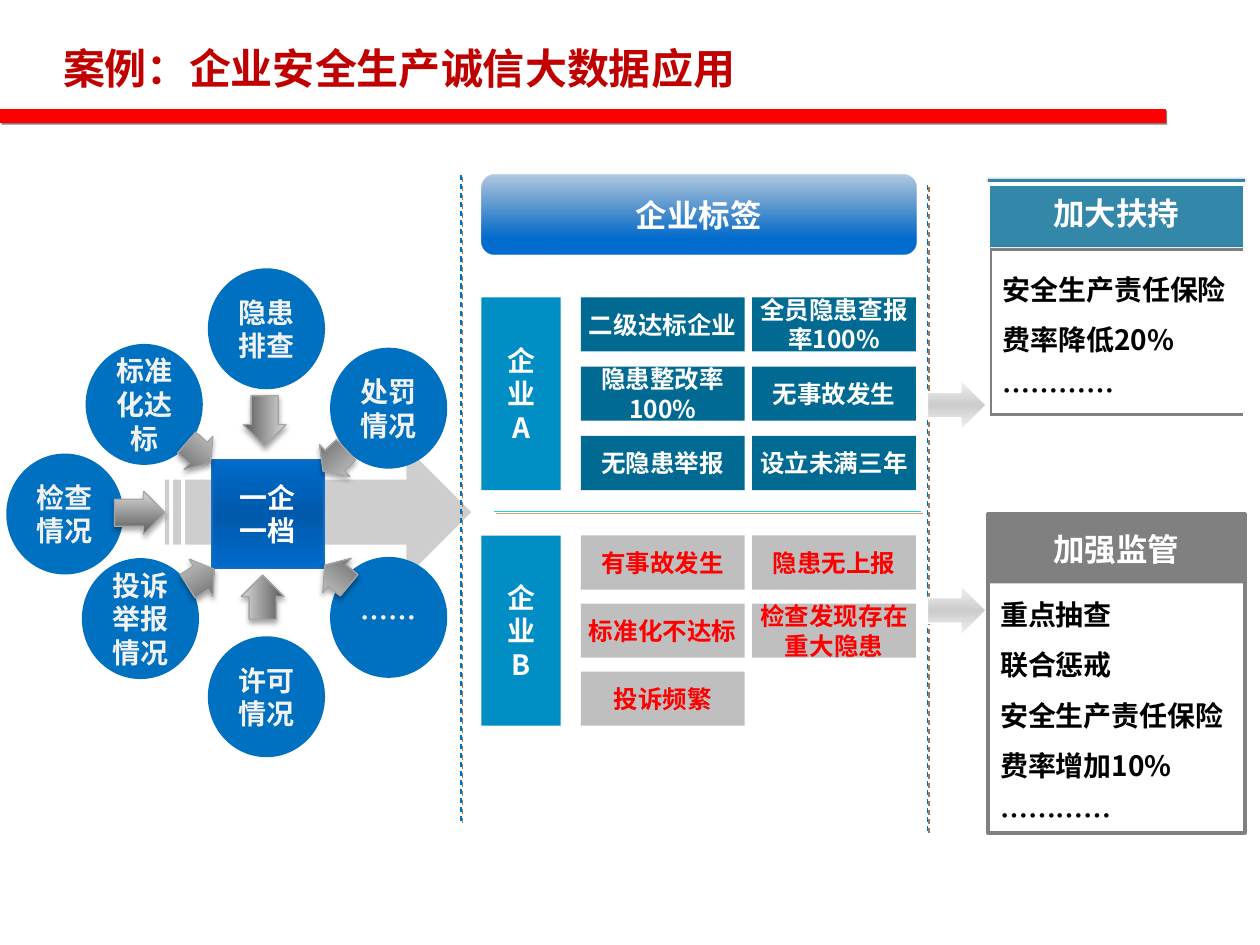
from dataclasses import dataclass

from pptx import Presentation
from pptx.dml.color import RGBColor
from pptx.enum.dml import MSO_LINE
from pptx.enum.shapes import MSO_CONNECTOR, MSO_SHAPE
from pptx.enum.text import MSO_ANCHOR, MSO_AUTO_SIZE, PP_ALIGN
from pptx.oxml import parse_xml
from pptx.oxml.ns import nsdecls, qn
from pptx.util import Inches, Pt


@dataclass(frozen=True)
class Theme:
    font: str = "Noto Sans CJK SC"
    title_size: int = 24
    heading_size: int = 18
    body_size: int = 16
    tag_size: int = 14
    title: str = "C00000"
    rule: str = "FF0000"
    white: str = "FFFFFF"
    black: str = "000000"
    circle: str = "0070C0"
    circle_text: str = "F2F2F2"
    company: str = "008EC4"
    good: str = "006A93"
    bad: str = "BFBFBF"
    bad_text: str = "FF0000"
    divider: str = "20C9F8"
    gray: str = "808080"
    arrow: str = "A6A6A6"
    hub_line: str = "0F6FC6"
    frame_line: str = "3A5F8C"
    hub_fade: tuple = ((0, "006BCB", 100), (50, "0059AB", 100), (100, "006BCB", 100))
    arrow_fade: tuple = ((0, "595959", 100), (100, "D9D9D9", 100))
    flow_fade: tuple = ((0, "F4F4F4", 100), (50, "CCCCCC", 100), (100, "F4F4F4", 100))
    heading_fade: tuple = ((0, "00539F", 30), (80, "006CCE", 100), (100, "006DCF", 100))
    arrow_shadow: tuple = ("000000", 35, 3.1, 1.8, 90)
    divider_shadow: tuple = ("CCA37B", 100, 0, 1.4, 45)
    dash_shadow: tuple = ("997A5C", 100, 0, 1.4, 45)
    rule_shadow: tuple = ("000000", 50, 0, 1.4, 45)


THEME = Theme()


@dataclass(frozen=True)
class Box:
    left: float
    top: float
    width: float
    height: float

    def inner(self, left, top, width, height):
        return Box(self.left + left, self.top + top, width, height)

    def lengths(self):
        return [Inches(value) for value in (self.left, self.top, self.width, self.height)]


def color_xml(color, opacity):
    return f'<a:srgbClr val="{color}"><a:alpha val="{opacity * 1000}"/></a:srgbClr>'


def set_opacity(properties, opacity):
    color = properties.find(qn("a:solidFill"))[0]
    color.append(parse_xml(f'<a:alpha {nsdecls("a")} val="{opacity * 1000}"/>'))


def fade(shape, stops, angle):
    shape.fill.gradient()
    properties = shape._element.spPr
    listed = "".join(f'<a:gs pos="{place * 1000}">{color_xml(color, opacity)}</a:gs>'
                     for place, color, opacity in stops)
    properties.replace(properties.find(qn("a:gradFill")), parse_xml(
        f'<a:gradFill {nsdecls("a")} rotWithShape="1"><a:gsLst>{listed}</a:gsLst>'
        f'<a:lin ang="{angle * 60000}" scaled="0"/></a:gradFill>'))


def cast_shadow(properties, color, opacity, blur, distance, angle):
    effects = properties.find(qn("a:effectLst"))
    if effects is not None:
        properties.remove(effects)
    properties.append(parse_xml(
        f'<a:effectLst {nsdecls("a")}><a:outerShdw blurRad="{Pt(blur)}" dist="{Pt(distance)}" '
        f'dir="{angle * 60000}" algn="tl" rotWithShape="0">{color_xml(color, opacity)}'
        f'</a:outerShdw></a:effectLst>'))


def add_block(page, kind, box, fill=None, line=None, width=1):
    shape = page.shapes.add_shape(kind, *box.lengths())
    shape.shadow.inherit = False
    if fill:
        shape.fill.solid()
        shape.fill.fore_color.rgb = RGBColor.from_string(fill)
    else:
        shape.fill.background()
    if line:
        shape.line.color.rgb = RGBColor.from_string(line)
        shape.line.width = Pt(width)
    else:
        shape.line.fill.background()
    return shape


def write(shape, lines, size, color, align=PP_ALIGN.CENTER, anchor=MSO_ANCHOR.MIDDLE,
          wrap=True, spacing=None):
    frame = shape.text_frame
    frame.word_wrap = wrap
    frame.vertical_anchor = anchor
    frame.auto_size = MSO_AUTO_SIZE.NONE
    frame.text = "\n".join(lines)
    for para in frame.paragraphs:
        para.alignment = align
        if spacing:
            para.line_spacing = spacing
        para.space_before = Pt(0)
        para.font.size = Pt(size)
        para.font.bold = True
        para.font.color.rgb = RGBColor.from_string(color)
        para.font.name = THEME.font
        defaults = para._p.pPr.find(qn("a:defRPr"))
        defaults.append(parse_xml(f'<a:ea {nsdecls("a")} typeface="{THEME.font}"/>'))


def add_line(page, box, color, width, shadow, dash=None):
    ends = (box.left, box.top, box.left + box.width, box.top + box.height)
    line = page.shapes.add_connector(MSO_CONNECTOR.STRAIGHT, *map(Inches, ends))
    line.line.color.rgb = RGBColor.from_string(color)
    line.line.width = Pt(width)
    if dash:
        line.line.dash_style = dash
    cast_shadow(line._element.spPr, *shadow)


def place_title(page, box):
    title = page.shapes.title
    title.left, title.top, title.width, title.height = box.lengths()
    write(title, ["案例：企业安全生产诚信大数据应用"], THEME.title_size, THEME.title,
          PP_ALIGN.LEFT, MSO_ANCHOR.TOP, spacing=1.2)


def place_records(page, box):
    stream = add_block(page, MSO_SHAPE.STRIPED_RIGHT_ARROW, box.inner(1.26, 1.42, 2.43, 1.03), THEME.arrow)
    set_opacity(stream._element.spPr, 54)
    hub = add_block(page, MSO_SHAPE.RECTANGLE, box.inner(1.63, 1.52, 0.89, 0.86), line=THEME.hub_line)
    fade(hub, THEME.hub_fade, 90)
    write(hub, ["一企", "一档"], THEME.body_size, THEME.white, wrap=False)

    circles = [
        (0.63, 0.6, ["标准化达标"]), (0.6, 2.3, ["投诉举报情况"]), (1.6, 2.92, ["许可情况"]),
        (2.57, 2.29, ["……"]), (2.57, 0.63, ["处罚", "情况"]), (1.6, 0, ["隐患排查"]),
        (0, 1.47, ["检查情况"]),
    ]
    for left, top, lines in circles:
        circle = add_block(page, MSO_SHAPE.FLOWCHART_CONNECTOR, box.inner(left, top, 0.93, 0.96), THEME.circle)
        write(circle, lines, THEME.body_size, THEME.circle_text)

    arrows = [
        (1.4, 1.29, 0.25, 0.35, 40.9), (1.42, 2.28, 0.25, 0.35, 327.5),
        (1.86, 2.44, 0.35, 0.34, 270), (2.5, 2.26, 0.25, 0.35, 219.6),
        (1.85, 1.04, 0.4, 0.34, 90), (2.48, 1.35, 0.25, 0.35, 136.7), (0.86, 1.77, 0.4, 0.34, 0),
    ]
    for *place, rotation in arrows:
        arrow = add_block(page, MSO_SHAPE.RIGHT_ARROW, box.inner(*place), line=THEME.arrow, width=0.75)
        arrow.adjustments[0] = 0.63
        arrow.rotation = rotation
        fade(arrow, THEME.arrow_fade, 270)
        cast_shadow(arrow._element.spPr, *THEME.arrow_shadow)


def place_company(page, box, letter, rows, fill, color):
    name = add_block(page, MSO_SHAPE.RECTANGLE, box.inner(0, 0, 0.63, box.height), THEME.company)
    write(name, ["企", "业", letter], THEME.body_size, THEME.white, wrap=False)
    tag_height = 0.43
    step = (box.height - tag_height) / (len(rows) - 1)
    for row, tags in enumerate(rows):
        for column, lines in enumerate(tags):
            tag = add_block(page, MSO_SHAPE.RECTANGLE,
                            box.inner(0.79 + column * 1.36, row * step, 1.3, tag_height), fill)
            write(tag, lines, THEME.tag_size, color, wrap=False)


def place_labels(page, box):
    heading = add_block(page, MSO_SHAPE.ROUNDED_RECTANGLE, box.inner(0, 0, box.width, 0.63))
    fade(heading, THEME.heading_fade, 90)
    write(heading, ["企业标签"], THEME.heading_size, THEME.white)
    add_line(page, box.inner(0.1, 2.67, 3.39, 0), THEME.divider, 0.75, THEME.divider_shadow)
    good_rows = [
        [["二级达标企业"], ["全员隐患查报", "率100%"]],
        [["隐患整改率", "100%"], ["无事故发生"]],
        [["无隐患举报"], ["设立未满三年"]],
    ]
    bad_rows = [
        [["有事故发生"], ["隐患无上报"]],
        [["标准化不达标"], ["检查发现存在", "重大隐患"]],
        [["投诉频繁"]],
    ]
    place_company(page, box.inner(0, 0.97, box.width, 1.53), "A", good_rows, THEME.good, THEME.white)
    place_company(page, box.inner(0, 2.86, box.width, 1.51), "B", bad_rows, THEME.bad, THEME.bad_text)


def place_flow(page, box):
    for left, top in ((0, 0), (3.7, 0.08)):
        add_line(page, box.inner(left, top, 0, 5.14), THEME.circle, 0.75, THEME.dash_shadow, MSO_LINE.DASH)
    for top in (1.62, 3.25):
        arrow = add_block(page, MSO_SHAPE.RIGHT_ARROW, box.inner(3.7, top, 0.47, 0.41), line=THEME.white)
        fade(arrow, THEME.flow_fade, 90)


def add_heading(page, box, words, fill, line=None):
    heading = add_block(page, MSO_SHAPE.RECTANGLE, box.inner(0, 0, box.width, 0.54), fill, line, 2)
    write(heading, [words], THEME.heading_size, THEME.white)
    return heading


def write_measures(shape, lines):
    write(shape, lines, THEME.body_size, THEME.black, PP_ALIGN.LEFT, MSO_ANCHOR.TOP, spacing=1.5)


def place_support(page, box):
    heading = add_heading(page, box, "加大扶持", THEME.good, THEME.frame_line)
    set_opacity(heading._element.spPr, 80)
    set_opacity(heading._element.spPr.find(qn("a:ln")), 11)
    measures = add_block(page, MSO_SHAPE.RECTANGLE, box.inner(0.02, 0.56, 2.02, 1.31), line=THEME.gray, width=2.25)
    write_measures(measures, ["安全生产责任保险费率降低20%", "…………"])
    add_block(page, MSO_SHAPE.RECTANGLE, box.inner(0, 0.04, box.width, 2.39), line=THEME.white, width=2)


def place_supervision(page, box):
    measures = page.shapes.add_textbox(*box.inner(0, 0.48, box.width, 2.12).lengths())
    write_measures(measures, ["重点抽查", "联合惩戒", "安全生产责任保险费率增加10%", "…………"])
    add_heading(page, box.inner(0, 0.01, box.width, 0.54), "加强监管", THEME.gray)
    add_block(page, MSO_SHAPE.RECTANGLE, box, line=THEME.gray, width=2)


def main():
    deck = Presentation()
    deck.slide_width, deck.slide_height = Inches(10), Inches(7.5)
    page = deck.slides.add_slide(deck.slide_layouts[5])
    place_records(page, Box(0.05, 2.13, 3.69, 3.88))
    place_labels(page, Box(3.82, 1.39, 3.45, 4.37))
    place_flow(page, Box(3.66, 1.39, 4.17, 5.22))
    place_support(page, Box(7.84, 1.42, 2.04, 2.43))
    place_supervision(page, Box(7.84, 4.08, 2.04, 2.53))
    place_title(page, Box(0.4, 0.21, 8.31, 0.59))
    add_line(page, Box(0, 0.92, 9.25, 0), THEME.rule, 8, THEME.rule_shadow)
    deck.save("out.pptx")


if __name__ == "__main__":
    main()
